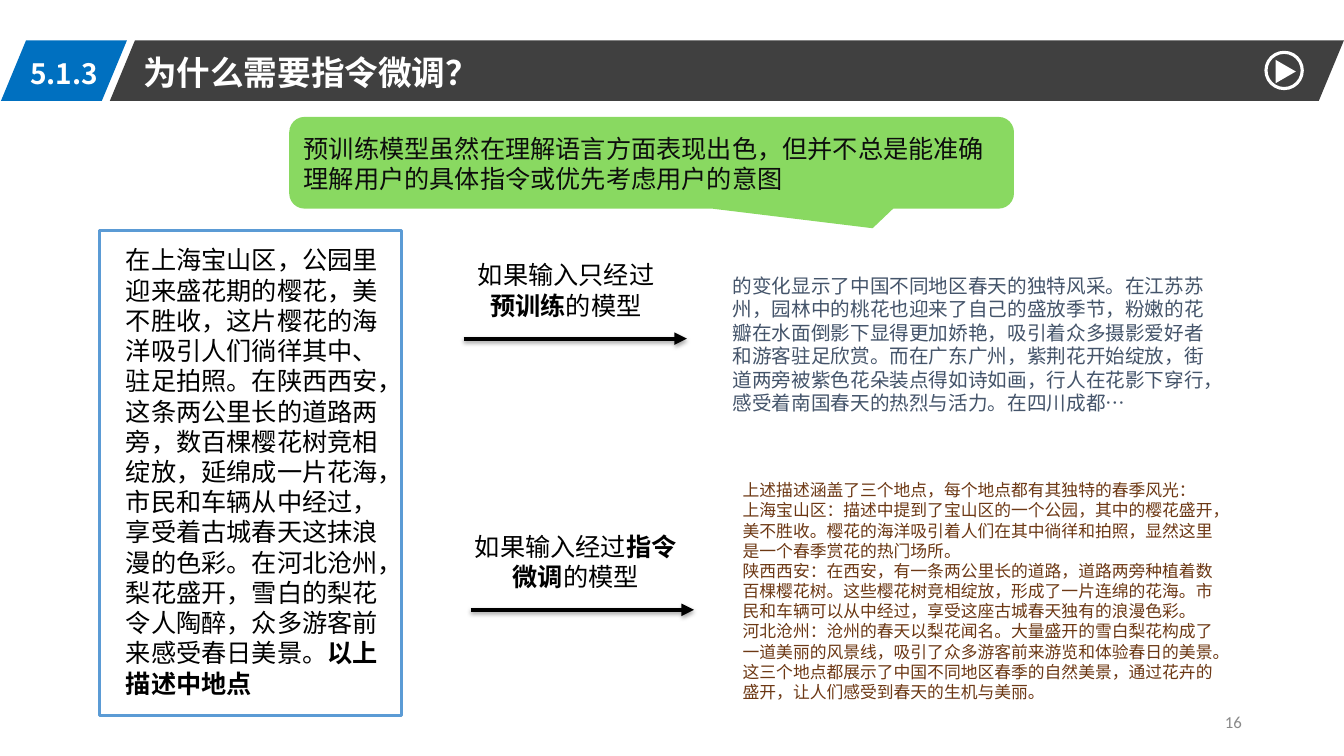
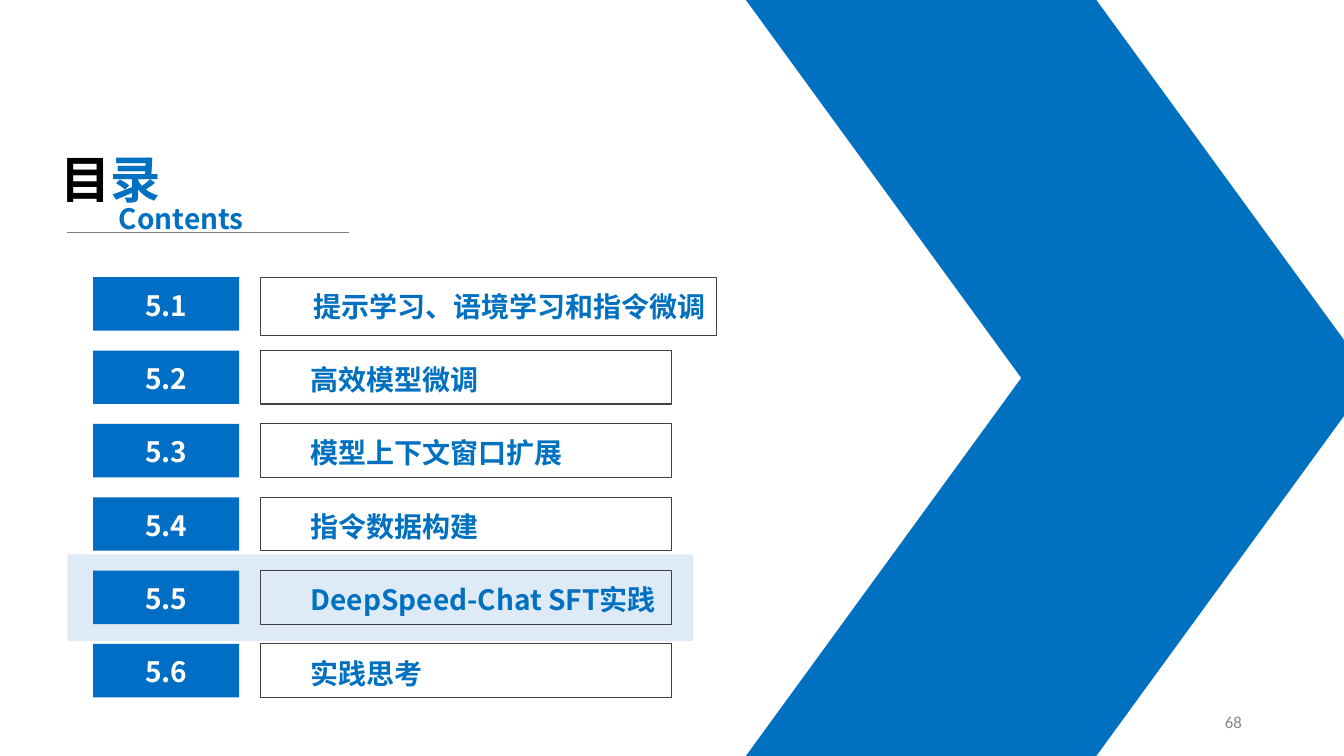
"""Build two slides: why instruction tuning is needed, and the chapter contents."""
import pptx
import pptx.dml.color
import pptx.enum.shapes
import pptx.enum.text
import pptx.oxml
import pptx.oxml.ns
import pptx.util

Pt = pptx.util.Pt
Color = pptx.dml.color.RGBColor
Shapes = pptx.enum.shapes.MSO_SHAPE
Align = pptx.enum.text.PP_ALIGN
Anchor = pptx.enum.text.MSO_ANCHOR

BLUE = Color(0x00, 0x70, 0xC0)
NUMBER_BLUE = Color(0x00, 0x6E, 0xC5)
PALE_BLUE = Color(0xDE, 0xEB, 0xF7)
FRAME_BLUE = Color(0x5B, 0x9B, 0xD5)
GREEN = Color(0x89, 0xD9, 0x61)
SLATE = Color(0x44, 0x54, 0x6A)
BROWN = Color(0x6D, 0x38, 0x14)
WHITE = Color(0xFF, 0xFF, 0xFF)
BLACK = Color(0x00, 0x00, 0x00)
INK = Color(0x0D, 0x0D, 0x0D)
DARK = Color(0x40, 0x40, 0x40)
GRAY = Color(0x7F, 0x7F, 0x7F)
PAGE_GRAY = Color(0x89, 0x89, 0x89)

CJK_FONT = "Noto Sans CJK SC"
LATIN_FONT = "Calibri"
LINE_PITCH = 1.2
BASELINE_DROP = 0.07
INSETS = (7.2, 3.6, 7.2, 3.6)

SECTION = "5.1.3"
SECTION_TITLE = "为什么需要指令微调？"
CALLOUT = "预训练模型虽然在理解语言方面表现出色，但并不总是能准确理解用户的具体指令或优先考虑用户的意图"
PROMPT = [
    ("在上海宝山区，公园里迎来盛花期的樱花，美不胜收，这片樱花的海洋吸引人们徜徉其中、驻足拍照。"
     "在陕西西安，这条两公里长的道路两旁，数百棵樱花树竞相绽放，延绵成一片花海，"
     "市民和车辆从中经过，享受着古城春天这抹浪漫的色彩。"
     "在河北沧州，梨花盛开，雪白的梨花令人陶醉，众多游客前来感受春日美景。", BLACK, False),
    ("以上描述中地点", BLACK, True),
]
PRETRAINED_ANSWER = [
    "的变化显示了中国不同地区春天的独特风采。在江苏苏州，园林中的桃花也迎来了自己的盛放季节，"
    "粉嫩的花瓣在水面倒影下显得更加娇艳，吸引着众多摄影爱好者和游客驻足欣赏。"
    "而在广东广州，紫荆花开始绽放，街道两旁被紫色花朵装点得如诗如画，行人在花影下穿行，"
    "感受着南国春天的热烈与活力。在四川成都…",
]
TUNED_ANSWER = [
    "上述描述涵盖了三个地点，每个地点都有其独特的春季风光：",
    "上海宝山区：描述中提到了宝山区的一个公园，其中的樱花盛开，美不胜收。"
    "樱花的海洋吸引着人们在其中徜徉和拍照，显然这里是一个春季赏花的热门场所。",
    "陕西西安：在西安，有一条两公里长的道路，道路两旁种植着数百棵樱花树。"
    "这些樱花树竞相绽放，形成了一片连绵的花海。市民和车辆可以从中经过，享受这座古城春天独有的浪漫色彩。",
    "河北沧州：沧州的春天以梨花闻名。大量盛开的雪白梨花构成了一道美丽的风景线，"
    "吸引了众多游客前来游览和体验春日的美景。",
    "这三个地点都展示了中国不同地区春季的自然美景，通过花卉的盛开，让人们感受到春天的生机与美丽。",
]
ROUTES = [
    {"label": ("如果输入只经过", "预训练", "的模型"), "label_box": (326.2, 180.7, 156.2, 51.1),
     "arrow": (331.2, 241.9), "answer": PRETRAINED_ANSWER,
     "answer_box": (516.2, 190.8, 353.5, 108.7), "size": 14, "color": SLATE},
    {"label": ("如果输入经过", "指令微调", "的模型"), "label_box": (331.2, 374.4, 160, 51.1),
     "arrow": (336.2, 435.6), "answer": TUNED_ANSWER,
     "answer_box": (523.4, 338.4, 353.5, 167), "size": 12, "color": BROWN},
]
TOPICS = [
    ("5.1", "提示学习、语境学习和指令微调"),
    ("5.2", "高效模型微调"),
    ("5.3", "模型上下文窗口扩展"),
    ("5.4", "指令数据构建"),
    ("5.5", "DeepSpeed-Chat SFT实践"),
    ("5.6", "实践思考"),
]
TOPIC_TOP, TOPIC_PITCH, TOPIC_HEIGHT = 198, 52.4, 38.2


def write(shape, paragraphs, size, font=CJK_FONT, align=Align.LEFT, anchor=Anchor.TOP, insets=INSETS):
    """Fill a shape with paragraphs, each a list of (text, color, bold) runs."""
    frame = shape.text_frame
    frame.word_wrap = True
    frame.auto_size = pptx.enum.text.MSO_AUTO_SIZE.NONE
    frame.vertical_anchor = anchor
    left, top, right, bottom = insets
    frame.margin_left, frame.margin_right = Pt(left), Pt(right)
    frame.margin_top, frame.margin_bottom = Pt(top + BASELINE_DROP * size), Pt(bottom)
    for index, runs in enumerate(paragraphs):
        paragraph = frame.add_paragraph() if index else frame.paragraphs[0]
        paragraph.alignment = align
        paragraph.line_spacing = Pt(size * LINE_PITCH)
        for text, color, bold in runs:
            run = paragraph.add_run()
            run.text = text
            run.font.size = Pt(size)
            run.font.bold = bold
            run.font.color.rgb = color
            run.font.name = font
            east_asian = pptx.oxml.parse_xml(
                f'<a:ea {pptx.oxml.ns.nsdecls("a")} typeface="{CJK_FONT}"/>')
            run.font._element.append(east_asian)


def add_text(slide, box, paragraphs, size, **style):
    """Add a text box."""
    write(slide.shapes.add_textbox(*map(Pt, box)), paragraphs, size, **style)


def add_shape(slide, kind, box, fill=None, line=None, width=1, adjustments=()):
    """Add a flat preset shape."""
    shape = slide.shapes.add_shape(kind, *map(Pt, box))
    shape.shadow.inherit = False
    for index, value in enumerate(adjustments):
        shape.adjustments[index] = value
    if fill is None:
        shape.fill.background()
    else:
        shape.fill.solid()
        shape.fill.fore_color.rgb = fill
    if line is None:
        shape.line.fill.background()
    else:
        shape.line.color.rgb = line
        shape.line.width = Pt(width)
    return shape


def add_line(slide, left, top, length, color, width, arrow=False):
    """Add a horizontal rule, or an arrow with a soft shadow."""
    line = slide.shapes.add_connector(
        pptx.enum.shapes.MSO_CONNECTOR.STRAIGHT, Pt(left), Pt(top), Pt(left + length), Pt(top))
    line.line.color.rgb = color
    line.line.width = Pt(width)
    namespace = pptx.oxml.ns.nsdecls("a")
    shadow = ""
    if arrow:
        line.line._get_or_add_ln().append(
            pptx.oxml.parse_xml(f'<a:tailEnd {namespace} type="triangle"/>'))
        shadow = (f'<a:outerShdw blurRad="{Pt(3.1)}" dist="{Pt(1.8)}" dir="5400000" rotWithShape="0">'
                  '<a:srgbClr val="000000"><a:alpha val="35000"/></a:srgbClr></a:outerShdw>')
    line._element.spPr.append(
        pptx.oxml.parse_xml(f'<a:effectLst {namespace}>{shadow}</a:effectLst>'))


def place_title(slide, box, runs, size):
    """Bring the title placeholder to the front and format it."""
    title = slide.shapes.title
    title.left, title.top, title.width, title.height = map(Pt, box)
    slide.shapes._spTree.append(title._element)
    write(title, [runs], size)


def add_page_number(slide, number):
    """Add the page number."""
    add_text(slide, (678.2, 500.4, 216, 28.8), [[(number, PAGE_GRAY, False)]], 12,
             font=LATIN_FONT, align=Align.RIGHT, anchor=Anchor.MIDDLE)


def build_tuning_slide(slide):
    """Compare the answers of a pretrained and a tuned model."""
    add_shape(slide, Shapes.PARALLELOGRAM, (78.5, 28.8, 881.5, 43.2), DARK, adjustments=(0.415,))
    tag = add_shape(slide, Shapes.PARALLELOGRAM, (0.7, 28.8, 90, 43.2), BLUE, adjustments=(0.415,))
    write(tag, [[(SECTION, WHITE, True)]], 20, align=Align.CENTER, anchor=Anchor.MIDDLE,
          insets=(0, 3, 0, 0))
    place_title(slide, (95, 31.7, 400, 36), [(SECTION_TITLE, WHITE, True)], 24)
    add_shape(slide, Shapes.OVAL, (904.3, 37.4, 25.9, 25.9), line=WHITE, width=2.25)
    play = add_shape(slide, Shapes.ISOSCELES_TRIANGLE, (910.1, 43.9, 16.6, 14.4), WHITE)
    play.rotation = 90

    add_shape(slide, Shapes.RECTANGLE, (71.3, 164.9, 215.3, 346.3), line=FRAME_BLUE, width=2)
    add_text(slide, (82.8, 169.9, 209.5, 334.1), [PROMPT], 18)
    callout = add_shape(slide, Shapes.ROUNDED_RECTANGULAR_CALLOUT, (206.6, 83.5, 517.7, 65.5),
                        GREEN, adjustments=(0.305, 0.714, 0.167))
    write(callout, [[(CALLOUT, INK, False)]], 18, font=LATIN_FONT, anchor=Anchor.MIDDLE)

    for route in ROUTES:
        label = [(text, BLACK, index == 1) for index, text in enumerate(route["label"])]
        add_text(slide, route["label_box"], [label], 18, font=LATIN_FONT, align=Align.CENTER)
        add_line(slide, *route["arrow"], 159.5, BLACK, 3, arrow=True)
        answer = [[(text, route["color"], False)] for text in route["answer"]]
        add_text(slide, route["answer_box"], answer, route["size"])
    add_page_number(slide, "16")


def build_contents_slide(slide):
    """List the chapter's sections with the current one highlighted."""
    add_shape(slide, Shapes.RECTANGLE, (48.2, 396, 447, 62), PALE_BLUE)
    add_shape(slide, Shapes.CHEVRON, (532.8, 0, 447, 540), BLUE, adjustments=(0.44,))
    place_title(slide, (36, 99.4, 113, 51), [("目", BLACK, True), ("录", BLUE, True)], 36)
    add_line(slide, 48.2, 166.3, 200.9, GRAY, 0.5)
    add_text(slide, (77.8, 139, 113, 31.7), [[("Contents", BLUE, True)]], 20)

    for index, (number, topic) in enumerate(TOPICS):
        top = TOPIC_TOP + index * TOPIC_PITCH
        width, height, indent = (293.8, TOPIC_HEIGHT, 36) if index else (326.2, 41.8, 38)
        frame = add_shape(slide, Shapes.RECTANGLE, (185.8, top, width, height), line=DARK, width=0.75)
        write(frame, [[(topic, BLUE, True)]], 20, insets=(indent, 7.2, 0, 0))
        badge = add_shape(slide, Shapes.RECTANGLE, (66.5, top, 104.4, TOPIC_HEIGHT), NUMBER_BLUE)
        write(badge, [[(number, WHITE, True)]], 20, align=Align.CENTER, anchor=Anchor.MIDDLE)
    add_page_number(slide, "68")


def main():
    """Build and save the presentation."""
    presentation = pptx.Presentation()
    presentation.slide_width, presentation.slide_height = Pt(960), Pt(540)
    title_only = presentation.slide_layouts[5]
    for build in (build_tuning_slide, build_contents_slide):
        build(presentation.slides.add_slide(title_only))
    presentation.save("out.pptx")


if __name__ == "__main__":
    main()
